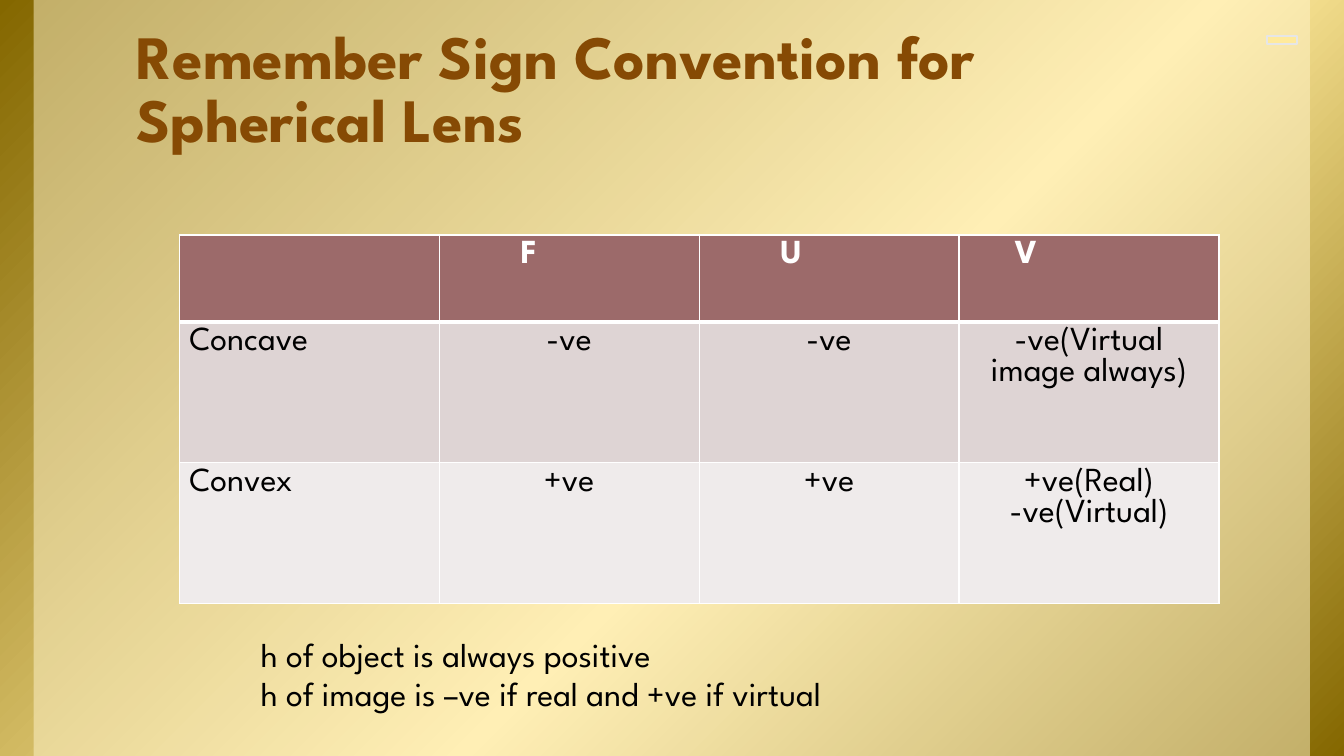
from dataclasses import dataclass
from typing import Any

from lxml.etree import SubElement
from pptx import Presentation
from pptx.dml.color import RGBColor
from pptx.enum.shapes import MSO_SHAPE as Shape
from pptx.enum.text import MSO_ANCHOR as Anchor, PP_ALIGN as Align
from pptx.oxml import parse_xml
from pptx.oxml.ns import nsdecls, qn
from pptx.util import Cm, Pt

FONT = "League Spartan"
BLACK = RGBColor(0x00, 0x00, 0x00)
WHITE = RGBColor(0xFF, 0xFF, 0xFF)
BROWN = RGBColor(0x86, 0x4A, 0x04)
GOLD = RGBColor(0x84, 0x67, 0x00)
LIGHT_GOLD = RGBColor(0xFF, 0xEA, 0x9C)
CREAM = RGBColor(0xFF, 0xF4, 0xCE)
GREY = RGBColor(0xE6, 0xE6, 0xE6)
HEADER = RGBColor(0x9C, 0x6A, 0x6A)
BAND_DARK = RGBColor(0xDE, 0xD4, 0xD4)
BAND_LIGHT = RGBColor(0xEF, 0xEB, 0xEB)


@dataclass
class Box:
    left: float
    top: float
    width: float
    height: float

    def emu(self) -> tuple:
        return Cm(self.left), Cm(self.top), Cm(self.width), Cm(self.height)


@dataclass
class TextBlock:
    box: Box
    lines: list[str]
    size: int
    color: RGBColor
    bold: bool
    spacing: float
    frame: dict[str, Any]


@dataclass
class Row:
    height: float
    fill: RGBColor
    color: RGBColor
    bold: bool
    bottom: int
    cells: list[str]
    indents: tuple = (0, 0, 0, 0)


TEXTS = [
    TextBlock(Box(3.1, 0.2, 28.22, 3.89), ["Remember Sign Convention for Spherical Lens"],
              44, BROWN, True, 0.85,
              dict(vertical_anchor=Anchor.BOTTOM, margin_left=Cm(0.33), margin_right=Cm(0.33),
                   margin_top=Cm(0.18), margin_bottom=Cm(0.18))),
    TextBlock(Box(6.32, 15.93, 17.4, 2.21),
              ["h of object is always positive", "h of image is –ve if real and +ve if virtual"],
              24, BLACK, False, 0.95, {}),
]

TABLE = Box(4.52, 5.92, 26.2, 9.28)
ROWS = [
    Row(2.2, HEADER, WHITE, True, 3, ["", "F", "U", "V"], (0, 1.8, 1.8, 1.15)),
    Row(3.54, BAND_DARK, BLACK, False, 1, ["Concave", "-ve", "-ve", "-ve(Virtual image always)"]),
    Row(3.54, BAND_LIGHT, BLACK, False, 1, ["Convex", "+ve", "+ve", "+ve(Real)\n-ve(Virtual)"]),
]


def write(tf: Any, lines: list[str], paragraph: dict[str, Any], font: dict[str, Any],
          color: RGBColor) -> None:
    for i, line in enumerate(lines):
        p = tf.add_paragraph() if i else tf.paragraphs[0]
        for name, value in paragraph.items():
            setattr(p, name, value)
        r = p.add_run() if line else p
        if line:
            r.text = line
        for name, value in font.items():
            setattr(r.font, name, value)
        r.font.color.rgb = color


def add_rect(s: Any, box: Box, fill: RGBColor) -> Any:
    sp = s.shapes.add_shape(Shape.RECTANGLE, *box.emu())
    sp.shadow.inherit = False
    sp.fill.solid()
    sp.fill.fore_color.rgb = fill
    sp.line.fill.background()
    return sp


def set_gradient(sp: Any, stops: list[tuple[int, RGBColor]], angle: int) -> None:
    gs = "".join(f'<a:gs pos="{pos * 1000}"><a:srgbClr val="{color}"/></a:gs>'
                 for pos, color in stops)
    solid = sp.fill.fore_color and sp._element.spPr.find(qn("a:solidFill"))
    sp._element.spPr.replace(solid, parse_xml(
        f'<a:gradFill {nsdecls("a")} rotWithShape="1"><a:gsLst>{gs}</a:gsLst>'
        f'<a:lin ang="{angle * 60000}" scaled="0"/></a:gradFill>'))


def set_opacity(sp: Any, percent: int) -> None:
    color = sp._element.spPr.find(qn("a:solidFill")).find(qn("a:srgbClr"))
    SubElement(color, qn("a:alpha")).set("val", str(percent * 1000))


def add_text(s: Any, block: TextBlock) -> None:
    tf = s.shapes.add_textbox(*block.box.emu()).text_frame
    for name, value in {"word_wrap": True, **block.frame}.items():
        setattr(tf, name, value)
    write(tf, block.lines, dict(line_spacing=block.spacing),
          dict(name=FONT, size=Pt(block.size), bold=block.bold), block.color)


def set_borders(cell: Any, widths: dict[str, int]) -> None:
    tcPr = cell._tc.get_or_add_tcPr()
    for i, (side, width) in enumerate(widths.items()):
        tcPr.insert(i, parse_xml(
            f'<a:ln{side} {nsdecls("a")} w="{Pt(width)}"><a:solidFill>'
            f'<a:srgbClr val="{WHITE}"/></a:solidFill></a:ln{side}>'))


def add_sign_table(s: Any, box: Box, rows: list[Row]) -> None:
    count = len(rows[0].cells)
    table = s.shapes.add_table(len(rows), count, *box.emu()).table
    for column in table.columns:
        column.width = Cm(box.width / count)
    top = 1
    for i, row in enumerate(rows):
        table.rows[i].height = Cm(row.height)
        for j, text in enumerate(row.cells):
            cell = table.cell(i, j)
            cell.margin_left = Cm(0.25 + row.indents[j])
            cell.fill.solid()
            cell.fill.fore_color.rgb = row.fill
            set_borders(cell, dict(L=1, R=1, T=top, B=row.bottom))
            align = Align.CENTER if i and j else Align.LEFT
            write(cell.text_frame, text.split("\n"), dict(alignment=align),
                  dict(name=FONT, size=Pt(24), bold=row.bold), row.color)
        top = row.bottom


def main() -> None:
    prs = Presentation()
    prs.slide_width, prs.slide_height = Cm(33.87), Cm(19.05)
    s = prs.slides.add_slide(prs.slide_layouts[6])

    backdrop = add_rect(s, Box(0, 0, 33.87, 19.05), GOLD)
    set_gradient(backdrop, [(0, GOLD), (58, LIGHT_GOLD), (100, GOLD)], 45)
    panel = add_rect(s, Box(0.85, 0, 32.16, 19.05), CREAM)
    set_opacity(panel, 50)

    title, note = TEXTS
    add_text(s, title)
    add_sign_table(s, TABLE, ROWS)
    add_text(s, note)

    marker = add_rect(s, Box(31.93, 0.91, 0.76, 0.2), LIGHT_GOLD)
    marker.line.color.rgb = GREY
    marker.line.width = Pt(1)

    prs.save("out.pptx")


if __name__ == "__main__":
    main()
